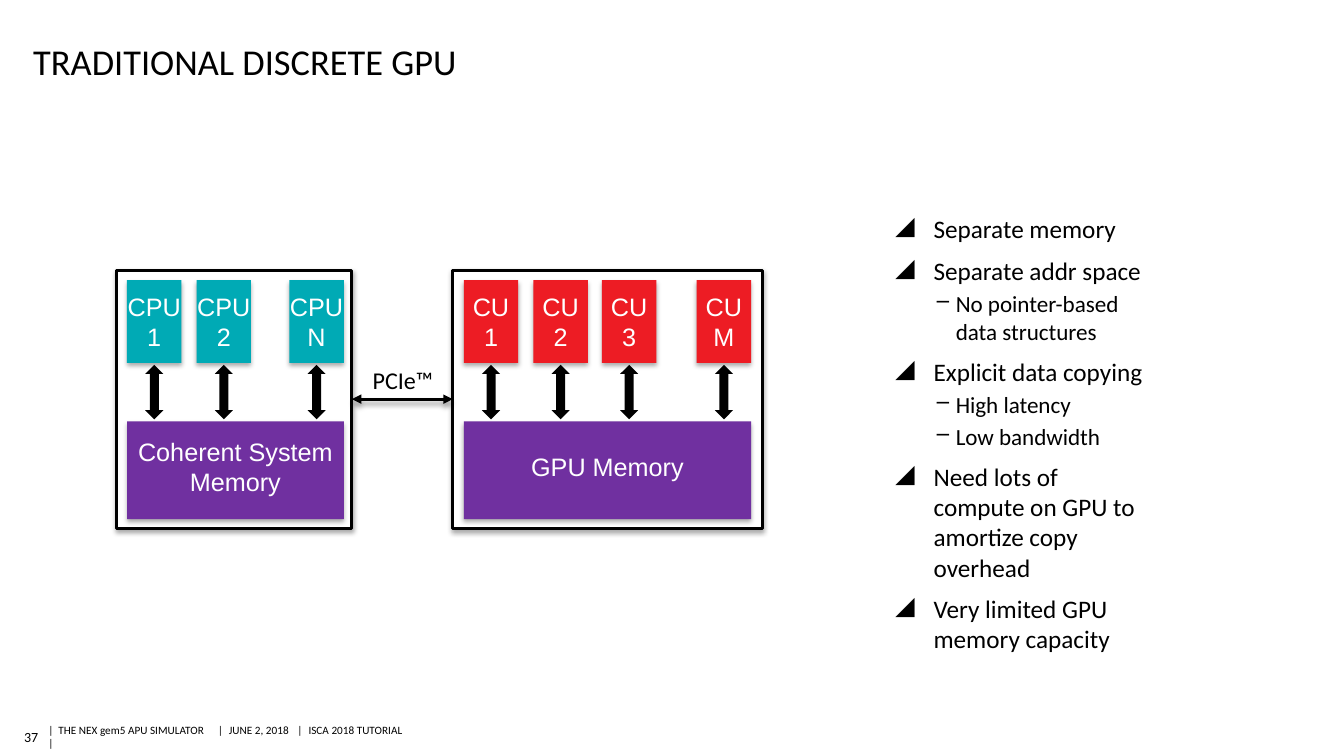
from lxml import etree
from pptx import Presentation
from pptx.dml.color import RGBColor
from pptx.enum.shapes import MSO_CONNECTOR, MSO_SHAPE
from pptx.enum.text import MSO_ANCHOR, PP_ALIGN
from pptx.oxml.ns import qn
from pptx.util import Inches, Pt

COLORS = {
    "black": "000000",
    "white": "FFFFFF",
    "cpu": "00AAB5",
    "compute_unit": "ED1C24",
    "memory": "7030A0",
}
BULLETS = [
    (0, "Separate memory"),
    (0, "Separate addr space"),
    (1, "No pointer-based\vdata structures"),
    (0, "Explicit data copying"),
    (1, "High latency"),
    (1, "Low bandwidth"),
    (0, "Need lots of compute on GPU to amortize copy overhead"),
    (0, "Very limited GPU memory capacity"),
]
BULLET_LEVELS = [
    {"mark": "◢", "margin": 0.38, "hang": 0.38, "before": 8, "size": 18},
    {"mark": "‒", "margin": 0.6, "hang": 0.2, "before": 3, "size": 16.5},
]
FOOTER = "|\tTHE NEX gem5 APU SIMULATOR\t|\tJUNE 2, 2018\t|\tISCA 2018 TUTORIAL\v|"
FOOTER_TABS = [0.1, 1.68, 1.79, 2.47, 2.58]
CORE_WIDTH = 0.54


def color(name):
    return RGBColor.from_string(COLORS[name])


def add_element(parent, tag, **attributes):
    element = etree.SubElement(parent, qn(tag))
    for name, value in attributes.items():
        element.set(name, str(value))
    return element


def format_runs(paragraph, size, font_name, color_name):
    for run in paragraph.runs:
        run.font.size = Pt(size)
        run.font.name = font_name
        run.font.color.rgb = color(color_name)


def set_margins(text_frame, left, top, right, bottom):
    text_frame.margin_left = Inches(left)
    text_frame.margin_top = Inches(top)
    text_frame.margin_right = Inches(right)
    text_frame.margin_bottom = Inches(bottom)


def add_label(slide, box, text, size, margins, anchor=MSO_ANCHOR.TOP,
              alignment=PP_ALIGN.LEFT, wrap=True):
    text_frame = slide.shapes.add_textbox(*map(Inches, box)).text_frame
    text_frame.word_wrap = wrap
    text_frame.vertical_anchor = anchor
    set_margins(text_frame, *margins)
    text_frame.text = text
    paragraph = text_frame.paragraphs[0]
    paragraph.alignment = alignment
    format_runs(paragraph, size, "Calibri", "black")
    return paragraph


def add_footer(slide):
    margins = (0, 0.04, 0, 0.04)
    add_label(slide, (0.22, 7.18, 0.16, 0.26), "37", 10, margins,
              MSO_ANCHOR.MIDDLE, PP_ALIGN.RIGHT, False)
    paragraph = add_label(slide, (0.48, 7.19, 3.65, 0.23), FOOTER, 8, margins,
                          MSO_ANCHOR.MIDDLE)
    tabs = add_element(paragraph._p.get_or_add_pPr(), "a:tabLst")
    for position in FOOTER_TABS:
        add_element(tabs, "a:tab", pos=Inches(position), algn="l")


def add_bullets(slide):
    box = map(Inches, (8.88, 2.07, 2.56, 4.13))
    text_frame = slide.shapes.add_textbox(*box).text_frame
    text_frame.word_wrap = True
    set_margins(text_frame, 0, 0.05, 0, 0.05)
    for index, (level, text) in enumerate(BULLETS):
        style = BULLET_LEVELS[level]
        paragraph = text_frame.add_paragraph() if index else text_frame.paragraphs[0]
        paragraph.text = text
        paragraph.level = level
        properties = paragraph._p.get_or_add_pPr()
        properties.set("marL", str(Inches(style["margin"])))
        properties.set("indent", str(-Inches(style["hang"])))
        bullet_color = add_element(properties, "a:buClr")
        add_element(bullet_color, "a:srgbClr", val=COLORS["black"])
        add_element(properties, "a:buChar", char=style["mark"])
        if index:
            paragraph.space_before = Pt(style["before"])
        format_runs(paragraph, style["size"], "Calibri", "black")


def add_shadow(effects, opacity, blur, distance):
    shadow = add_element(effects, "a:outerShdw", blurRad=Pt(blur), dist=Pt(distance),
                         dir=90 * 60000, rotWithShape=0)
    shade = add_element(shadow, "a:srgbClr", val=COLORS["black"])
    add_element(shade, "a:alpha", val=opacity * 1000)


def add_block(slide, box, fill, text="", outlined=False, bottom=0):
    shape = slide.shapes.add_shape(MSO_SHAPE.RECTANGLE, *map(Inches, box))
    shape.fill.solid()
    shape.fill.fore_color.rgb = color(fill)
    if outlined:
        shape.line.color.rgb = color("black")
        shape.line.width = Pt(2.25)
    else:
        shape.line.fill.background()
    shape.shadow.inherit = False
    add_shadow(shape._element.spPr.find(qn("a:effectLst")), 32, 3.5, 2.2)
    if text:
        text_frame = shape.text_frame
        text_frame.word_wrap = True
        text_frame.vertical_anchor = MSO_ANCHOR.MIDDLE
        set_margins(text_frame, 0, 0, 0, bottom)
        text_frame.text = text
        for paragraph in text_frame.paragraphs:
            paragraph.alignment = PP_ALIGN.CENTER
            format_runs(paragraph, 18, "Arial", "white")
    return shape


def add_memory_arrow(slide, left):
    box = map(Inches, (left, 3.8, CORE_WIDTH, 0.18))
    arrow = slide.shapes.add_shape(MSO_SHAPE.LEFT_RIGHT_ARROW, *box)
    arrow.rotation = 90
    arrow.fill.solid()
    arrow.fill.fore_color.rgb = color("black")
    arrow.line.fill.background()
    arrow.shadow.inherit = False


def add_processor(slide, left, width, memory_left, memory_width, memory, kind, fill, cores):
    frame = add_block(slide, (left, 2.68, width, 2.56), "white", outlined=True)
    add_block(slide, (memory_left, 4.18, memory_width, 0.97), "memory", memory, bottom=0.08)
    for name, core_left in cores:
        add_block(slide, (core_left, 2.78, CORE_WIDTH, 0.82), fill, f"{kind}\n{name}")
        add_memory_arrow(slide, core_left)
    return frame


def add_link(slide, host, device):
    link = slide.shapes.add_connector(MSO_CONNECTOR.STRAIGHT, 0, 0, 0, 0)
    link.begin_connect(host, 3)
    link.end_connect(device, 1)
    link.line.color.rgb = color("black")
    link.line.width = Pt(2.25)
    properties = link._element.spPr
    line = properties.find(qn("a:ln"))
    for end in ("a:headEnd", "a:tailEnd"):
        add_element(line, end, type="triangle")
    add_shadow(add_element(properties, "a:effectLst"), 40, 4, 3)


def main():
    presentation = Presentation()
    presentation.slide_width = Inches(13.33)
    presentation.slide_height = Inches(7.5)
    slide = presentation.slides.add_slide(presentation.slide_layouts[6])
    add_footer(slide)
    add_label(slide, (0.33, 0.3, 11.4, 0.52), "TRADITIONAL DISCRETE GPU", 26,
              (0, 0.05, 0, 0), MSO_ANCHOR.BOTTOM)
    add_bullets(slide)
    device = add_processor(slide, 4.49, 3.07, 4.6, 2.85, "GPU Memory", "CU", "compute_unit",
                           [("1", 4.6), ("2", 5.29), ("3", 5.97), ("M", 6.91)])
    host = add_processor(slide, 1.16, 2.33, 1.26, 2.15, "Coherent System Memory", "CPU", "cpu",
                         [("1", 1.26), ("2", 1.95), ("N", 2.87)])
    add_label(slide, (3.53, 3.58, 0.93, 0.39), "PCIe™", 17.2, (0.1, 0.05, 0.1, 0.05),
              alignment=PP_ALIGN.CENTER)
    add_link(slide, host, device)
    presentation.save("out.pptx")


if __name__ == "__main__":
    main()
